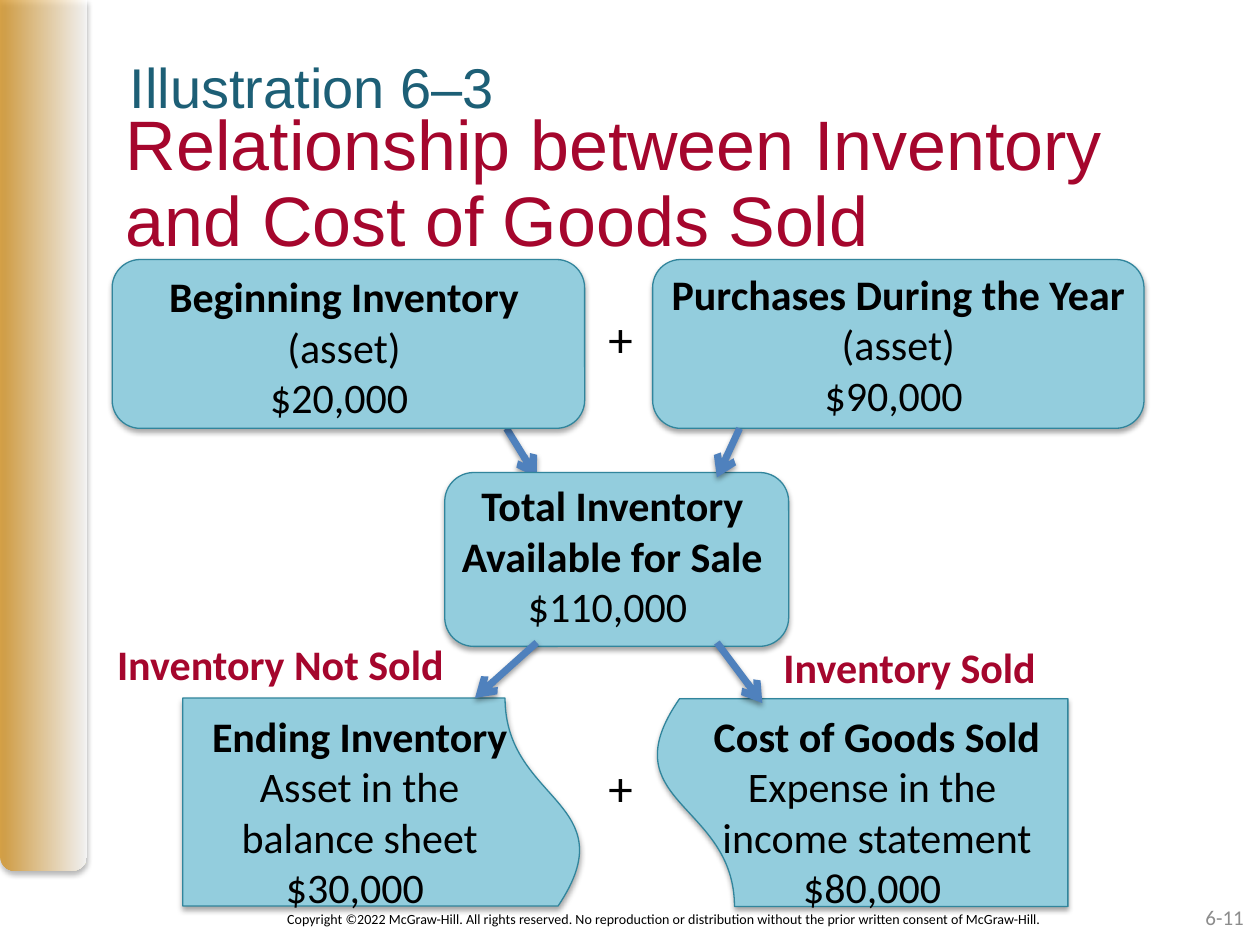
from lxml.etree import SubElement
from pptx import Presentation
from pptx.dml.color import RGBColor
from pptx.enum.shapes import MSO_CONNECTOR, MSO_SHAPE as SHAPE
from pptx.enum.text import MSO_ANCHOR as ANCHOR, PP_ALIGN as ALIGN
from pptx.oxml.ns import qn
from pptx.util import Inches, Pt


class Theme:
    gold, white, black, gray = "D49323", "FFFFFF", "000000", "8C8C8C"
    box, box_line, arrow = "93CDDD", "31859C", "4F81BD"
    red, teal = "A5062D", "1D5F76"
    head_font, body_font = "Arial", "Calibri"
    title, subtitle, plus, body, number, footer = 40, 32, 28, 24, 12, 8


TITLE = "Relationship between Inventory and Cost of Goods Sold"
SUBTITLE = "Illustration 6–3"
COPYRIGHT = ("Copyright ©2022 McGraw-Hill. All rights reserved. No reproduction or "
             "distribution without the prior written consent of McGraw-Hill.")
PAGE = "6-11"

# shape, left, top, width, height, rotation
BOXES = [
    (SHAPE.ROUNDED_RECTANGLE, 0.89, 2.06, 3.75, 1.34, 0),
    (SHAPE.ROUNDED_RECTANGLE, 5.18, 2.06, 3.9, 1.34, 0),
    (SHAPE.FLOWCHART_DOCUMENT, 2.22, 4.77, 1.65, 3.19, 270),
    (SHAPE.FLOWCHART_DOCUMENT, 6, 4.72, 1.65, 3.3, 90),
    (SHAPE.ROUNDED_RECTANGLE, 3.53, 3.75, 2.73, 1.38, 0),
]
# place, bold lines, regular lines
CAPTIONS = [
    ((0.89, 2.1, 3.68, 1.31), ["Beginning Inventory"], ["(asset)", "$20,000 "]),
    ((5.18, 2.08, 3.9, 1.31), ["Purchases During the Year"], ["(asset)", "$90,000 "]),
    ((3.33, 3.76, 3.06, 1.31), ["Total Inventory", "Available for Sale"], ["$110,000 "]),
    ((1.45, 5.59, 2.81, 1.72), ["Ending Inventory"],
     ["Asset in the", "balance sheet", "$30,000 "]),
    ((5.3, 5.59, 3.32, 1.72), ["Cost of Goods Sold"],
     ["Expense in the ", "income statement", "$80,000 "]),
]
OUTCOMES = [
    ((0.8, 5.02, 2.85, 0.5), "Inventory Not Sold", ALIGN.CENTER),
    ((6.12, 5.04, 2.36, 0.5), "Inventory Sold", ALIGN.LEFT),
]
PLUS_TOPS = [2.4, 5.96]
# from x, from y, to x, to y
ARROW_BEHIND = (4.02, 3.4, 4.26, 3.79)
ARROWS_IN_FRONT = [
    (5.69, 5.1, 6.05, 5.58),
    (4.26, 5.1, 3.77, 5.54),
    (5.87, 3.4, 5.69, 3.79),
]


def rgb(color):
    return RGBColor.from_string(color)


def add_shadow(sp, opacity, distance):
    """Give a shape a soft shadow straight below it; call after fill and line."""
    effects = SubElement(sp._element.spPr, qn("a:effectLst"))
    shadow = SubElement(effects, qn("a:outerShdw"), blurRad=str(Pt(3.1)),
                        dist=str(Pt(distance)), dir="5400000", rotWithShape="0")
    color = SubElement(shadow, qn("a:srgbClr"), val=Theme.black)
    SubElement(color, qn("a:alpha"), val=str(opacity * 1000))


def add_side_band(slide):
    sp = slide.shapes.add_shape(SHAPE.ROUND_2_SAME_RECTANGLE, 0, 0,
                                Inches(0.69), Inches(6.91))
    sp.adjustments[0], sp.adjustments[1] = 0, 0.167
    sp.fill.gradient()
    sp.fill.gradient_angle = 0
    for stop, color, position in zip(sp.fill.gradient_stops,
                                     (Theme.gold, Theme.white), (0, 1)):
        stop.color.rgb = rgb(color)
        stop.position = position
    for color in sp._element.spPr.iter(qn("a:srgbClr")):
        SubElement(color, qn("a:alpha"), val="80000")
    sp.line.fill.background()
    add_shadow(sp, 35, 1.8)


def add_box(slide, kind, left, top, width, height, rotation):
    sp = slide.shapes.add_shape(kind, *map(Inches, (left, top, width, height)))
    sp.rotation = rotation
    sp.fill.solid()
    sp.fill.fore_color.rgb = rgb(Theme.box)
    sp.line.color.rgb = rgb(Theme.box_line)
    sp.line.width = Pt(0.75)
    add_shadow(sp, 35, 1.8)


def add_arrow(slide, *ends):
    cn = slide.shapes.add_connector(MSO_CONNECTOR.STRAIGHT, *map(Inches, ends))
    cn.line.color.rgb = rgb(Theme.arrow)
    cn.line.width = Pt(4)
    SubElement(cn.line._get_or_add_ln(), qn("a:tailEnd"), type="arrow")
    add_shadow(cn, 38, 1.6)


def add_text(slide, place, lines, size, color=Theme.black, font=Theme.body_font,
             align=ALIGN.CENTER, anchor=ANCHOR.TOP, inset=None, spacing=None):
    """Add a text box; each line is a (text, bold) pair and its own paragraph."""
    tf = slide.shapes.add_textbox(*map(Inches, place)).text_frame
    tf.word_wrap = True
    tf.vertical_anchor = anchor
    if inset is not None:
        tf.margin_left = tf.margin_top = tf.margin_right = tf.margin_bottom = Inches(inset)
    for i, (text, bold) in enumerate(lines):
        p = tf.paragraphs[0] if i == 0 else tf.add_paragraph()
        p.alignment = align
        p.line_spacing = spacing
        r = p.add_run()
        r.text = text
        r.font.name, r.font.size, r.font.bold = font, Pt(size), bold
        r.font.color.rgb = rgb(color)


def main():
    prs = Presentation()
    prs.slide_width, prs.slide_height = Inches(10), Inches(7.5)
    slide = prs.slides.add_slide(prs.slide_layouts[6])

    add_side_band(slide)
    add_text(slide, (1.46, 7.18, 7.63, 0.24), [(COPYRIGHT, False)], Theme.footer)
    add_text(slide, (7.64, 7.08, 2.33, 0.4), [(PAGE, False)], Theme.number, Theme.gray,
             align=ALIGN.RIGHT, anchor=ANCHOR.MIDDLE)
    add_arrow(slide, *ARROW_BEHIND)
    add_text(slide, (1, 0.85, 8.07, 1.25), [(TITLE, False)], Theme.title, Theme.red,
             Theme.head_font, ALIGN.LEFT, ANCHOR.MIDDLE, inset=0, spacing=0.9)
    add_text(slide, (1.03, 0.42, 5.76, 0.46), [(SUBTITLE, False)], Theme.subtitle,
             Theme.teal, Theme.head_font, ALIGN.LEFT, inset=0)

    for box in BOXES:
        add_box(slide, *box)
    for place, bold, regular in CAPTIONS:
        lines = [(t, True) for t in bold] + [(t, False) for t in regular]
        add_text(slide, place, lines, Theme.body)
    for place, text, align in OUTCOMES:
        add_text(slide, place, [(text, True)], Theme.body, Theme.red, align=align)
    for top in PLUS_TOPS:
        add_text(slide, (4.73, top, 0.37, 0.57), [("+", False)], Theme.plus)
    for ends in ARROWS_IN_FRONT:
        add_arrow(slide, *ends)

    prs.save("out.pptx")


if __name__ == "__main__":
    main()
